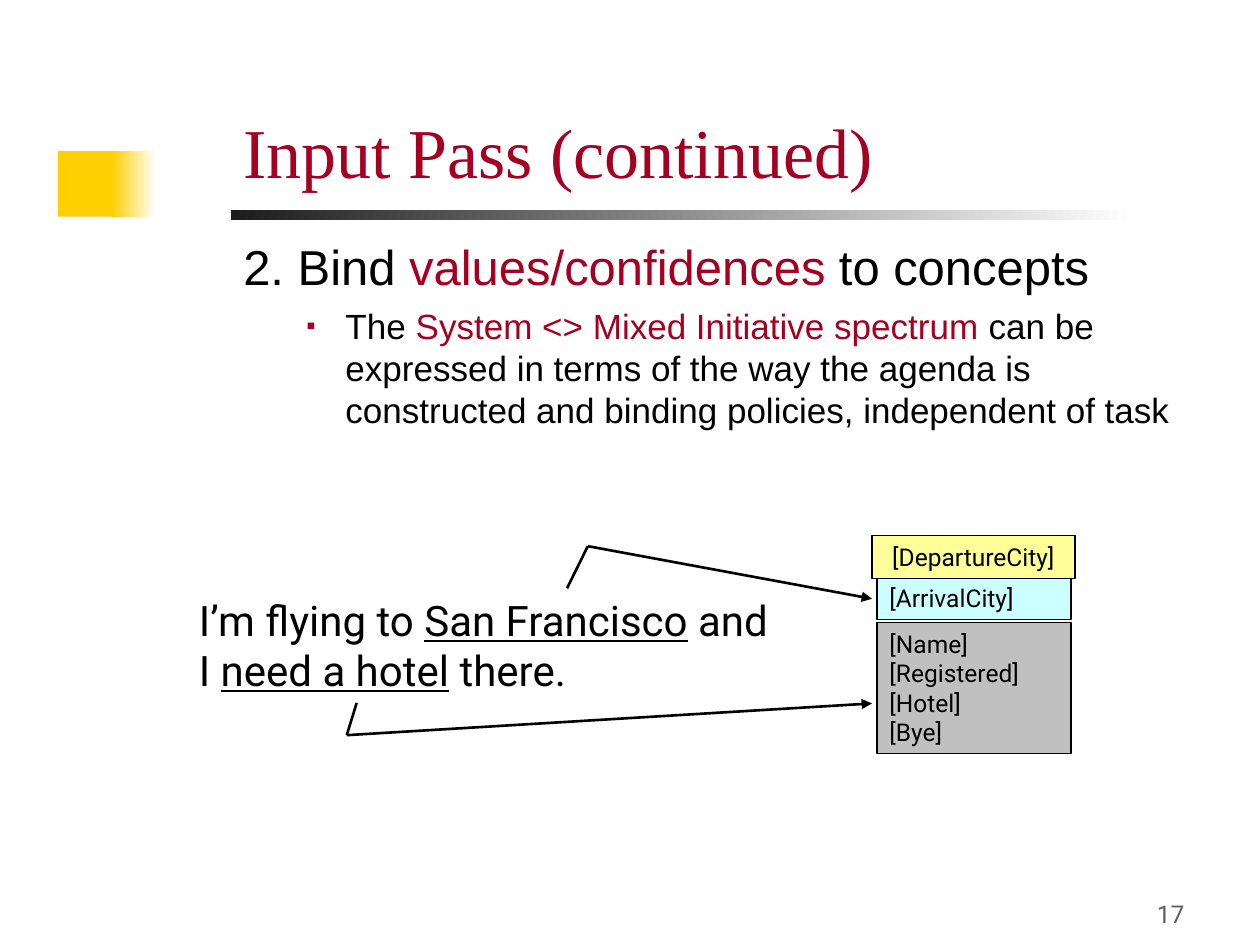
from lxml import etree
from pptx import Presentation
from pptx import util as u
from pptx.dml.color import RGBColor
from pptx.enum import shapes, text
from pptx.oxml.ns import qn

BLACK = RGBColor(0, 0, 0)
WHITE = RGBColor(255, 255, 255)
CRIMSON = RGBColor(0xA5, 0x00, 0x21)
GOLD = RGBColor(0xFF, 0xCF, 0x01)
CHARCOAL = RGBColor(0x1C, 0x1C, 0x1C)
GREY = RGBColor(0xC0, 0xC0, 0xC0)
CYAN = RGBColor(0xCC, 0xFF, 0xFF)
YELLOW = RGBColor(0xFF, 0xFF, 0x99)
NUMBER_GREY = RGBColor(0x5F, 0x5F, 0x5F)


def add_box(left, top, width, height, color):
    """Add a rectangle, given in cm, with a plain fill and no outline."""
    box = slide.shapes.add_shape(shapes.MSO_SHAPE.RECTANGLE, u.Cm(left), u.Cm(top),
                                 u.Cm(width), u.Cm(height))
    box.shadow.inherit = False
    box.fill.solid()
    box.fill.fore_color.rgb = color
    box.line.fill.background()
    return box


def format_paragraph(paragraph, font_name, size, color=BLACK, alignment=text.PP_ALIGN.LEFT):
    """Set the font and alignment of a whole paragraph."""
    paragraph.alignment = alignment
    paragraph.font.name = font_name
    paragraph.font.size = u.Pt(size)
    paragraph.font.color.rgb = color


presentation = Presentation()
presentation.slide_width, presentation.slide_height = u.Cm(25.4), u.Cm(19.05)
slide = presentation.slides.add_slide(presentation.slide_layouts[1])

# Decoration beside and below the title
add_box(1.17, 3.05, 1.22, 1.32, GOLD)
for left, top, width, height, color in [(2.24, 3.05, 0.91, 1.32, GOLD),
                                        (4.65, 4.24, 18.21, 0.2, CHARCOAL)]:
    fade = add_box(left, top, width, height, color)
    fade.fill.gradient()
    fade.fill.gradient_angle = 0
    for stop, stop_color in zip(fade.fill.gradient_stops, (color, WHITE)):
        stop.color.rgb = stop_color

# Title
title = slide.shapes.title
title.left, title.top, title.width, title.height = u.Cm(4.65), u.Cm(1.9), u.Cm(21.64), u.Cm(2.11)
title.text_frame.text = "Input Pass (continued)"
title.text_frame.vertical_anchor = text.MSO_ANCHOR.BOTTOM
title.text_frame.auto_size = text.MSO_AUTO_SIZE.NONE
format_paragraph(title.text_frame.paragraphs[0], "Times New Roman", 40, CRIMSON)

# Body: pieces alternate between plain and highlighted
body = slide.placeholders[1]
body.left, body.top, body.width, body.height = u.Cm(4.65), u.Cm(4.65), u.Cm(20.22), u.Cm(12.5)
body.text_frame.auto_size = text.MSO_AUTO_SIZE.NONE
body_lines = [
    (28, 7, 0.97, -0.97, ["2. Bind ", "values/confidences", " to concepts"]),
    (20, 5, 2.06, -0.79, ["The ", "System <> Mixed Initiative spectrum",
                          " can be expressed in terms of the way the agenda is "
                          "constructed and binding policies, independent of task"]),
]
for level, (size, space, margin, indent, pieces) in enumerate(body_lines):
    paragraph = body.text_frame.paragraphs[0] if level == 0 else body.text_frame.add_paragraph()
    paragraph.level = level
    format_paragraph(paragraph, "Arial", size)
    paragraph.space_before = u.Pt(space)
    for index, piece in enumerate(pieces):
        run = paragraph.add_run()
        run.text = piece
        run.font.color.rgb = CRIMSON if index % 2 else BLACK
    properties = paragraph._p.get_or_add_pPr()
    properties.set("marL", str(u.Cm(margin)))
    properties.set("indent", str(u.Cm(indent)))
    bullet = [("a:buNone", {})]
    if level:
        bullet = [("a:buClr", {}), ("a:buSzPct", {"val": "75000"}),
                  ("a:buFont", {"typeface": "Arial"}), ("a:buChar", {"char": "▪"})]
    default_font = properties.find(qn("a:defRPr"))
    for tag, attributes in bullet:
        element = etree.Element(qn(tag), attributes)
        default_font.addprevious(element)
        if tag == "a:buClr":
            etree.SubElement(element, qn("a:srgbClr"), val=str(CRIMSON))

# Agenda of concepts
agenda = [
    (17.68, 12.55, 3.91, 2.64, GREY, "[Name]\n[Registered]\n[Hotel]\n[Bye]", text.PP_ALIGN.LEFT),
    (17.68, 11.63, 3.91, 0.86, CYAN, "[ArrivalCity]", text.PP_ALIGN.LEFT),
    (17.58, 10.8, 4.09, 0.86, YELLOW, "[DepartureCity]", text.PP_ALIGN.CENTER),
]
for left, top, width, height, color, concepts, alignment in agenda:
    box = add_box(left, top, width, height, color)
    box.line.color.rgb = BLACK
    box.line.width = u.Pt(0.74)
    box.text_frame.text = concepts
    box.text_frame.vertical_anchor = text.MSO_ANCHOR.TOP
    box.text_frame.word_wrap = alignment == text.PP_ALIGN.LEFT
    for paragraph in box.text_frame.paragraphs:
        format_paragraph(paragraph, "Roboto", 14, alignment=alignment)

# Spoken sentence: the middle piece of each line is underlined
sentence = slide.shapes.add_textbox(u.Cm(3.76), u.Cm(11.86), u.Cm(12.57), u.Cm(2.29))
sentence.text_frame.word_wrap = False
sentence_lines = [("I’m flying to ", "San Francisco", " and"), ("I ", "need a hotel", " there.")]
for number, pieces in enumerate(sentence_lines):
    paragraph = sentence.text_frame.add_paragraph() if number else sentence.text_frame.paragraphs[0]
    format_paragraph(paragraph, "Roboto", 24)
    for index, piece in enumerate(pieces):
        run = paragraph.add_run()
        run.text = piece
        run.font.underline = index == 1

# Bent arrows from the sentence to the agenda
bent_arrows = [[(7.19, 14.17), (6.99, 14.82), (17.58, 14.18)],
               [(11.43, 11.86), (11.85, 11.01), (17.58, 12.07)]]
for start, bend, end in bent_arrows:
    for first, last in [(start, bend), (bend, end)]:
        line = slide.shapes.add_connector(shapes.MSO_CONNECTOR.STRAIGHT,
                                          *map(u.Cm, first + last))
        line.line.color.rgb = BLACK
        line.line.width = u.Pt(1.5)
        if last == end:
            etree.SubElement(line.line._get_or_add_ln(), qn("a:tailEnd"), type="triangle")
        etree.SubElement(line._element.spPr, qn("a:effectLst"))

# Slide number
slide_number = slide.shapes.add_textbox(u.Cm(18.84), u.Cm(17.58), u.Cm(5.29), u.Cm(1.27))
slide_number.text_frame.word_wrap = True
slide_number.text_frame.vertical_anchor = text.MSO_ANCHOR.BOTTOM
slide_number.text_frame.text = "17"
format_paragraph(slide_number.text_frame.paragraphs[0], "Roboto", 14, NUMBER_GREY,
                 text.PP_ALIGN.RIGHT)

presentation.save("out.pptx")
